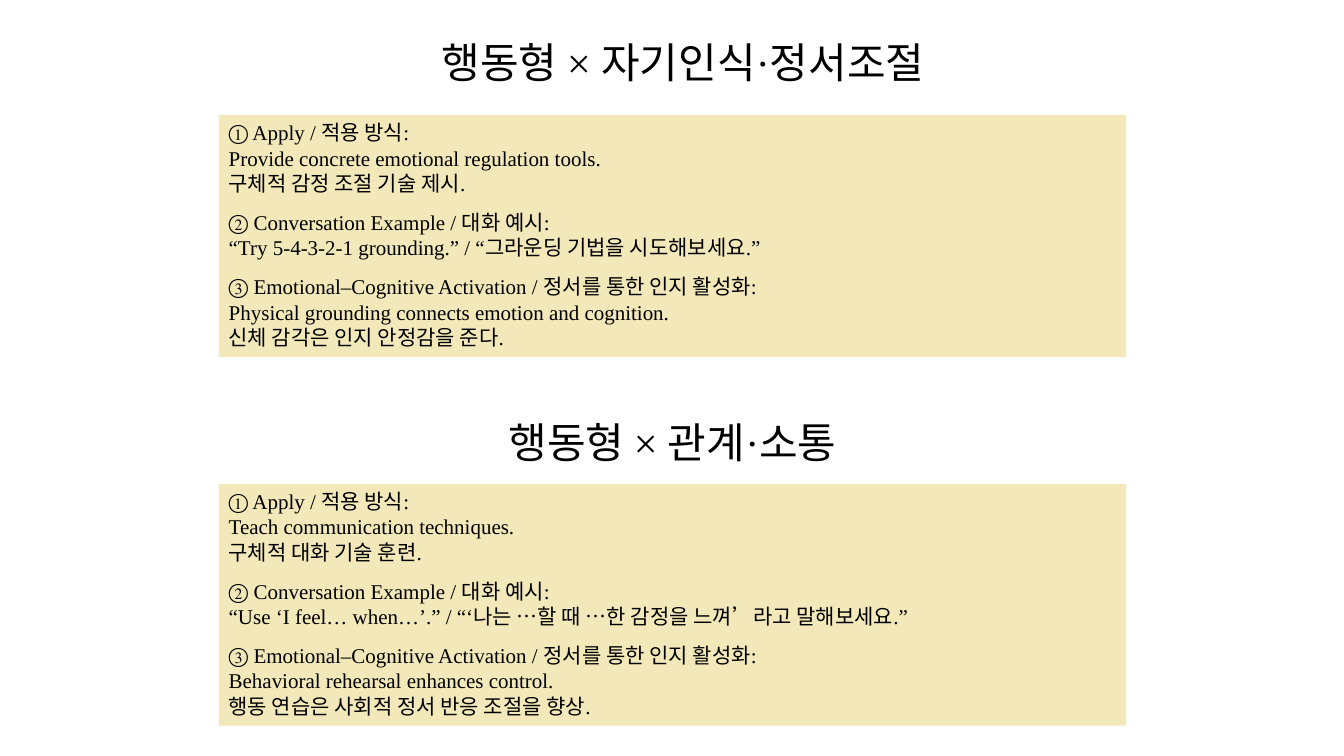
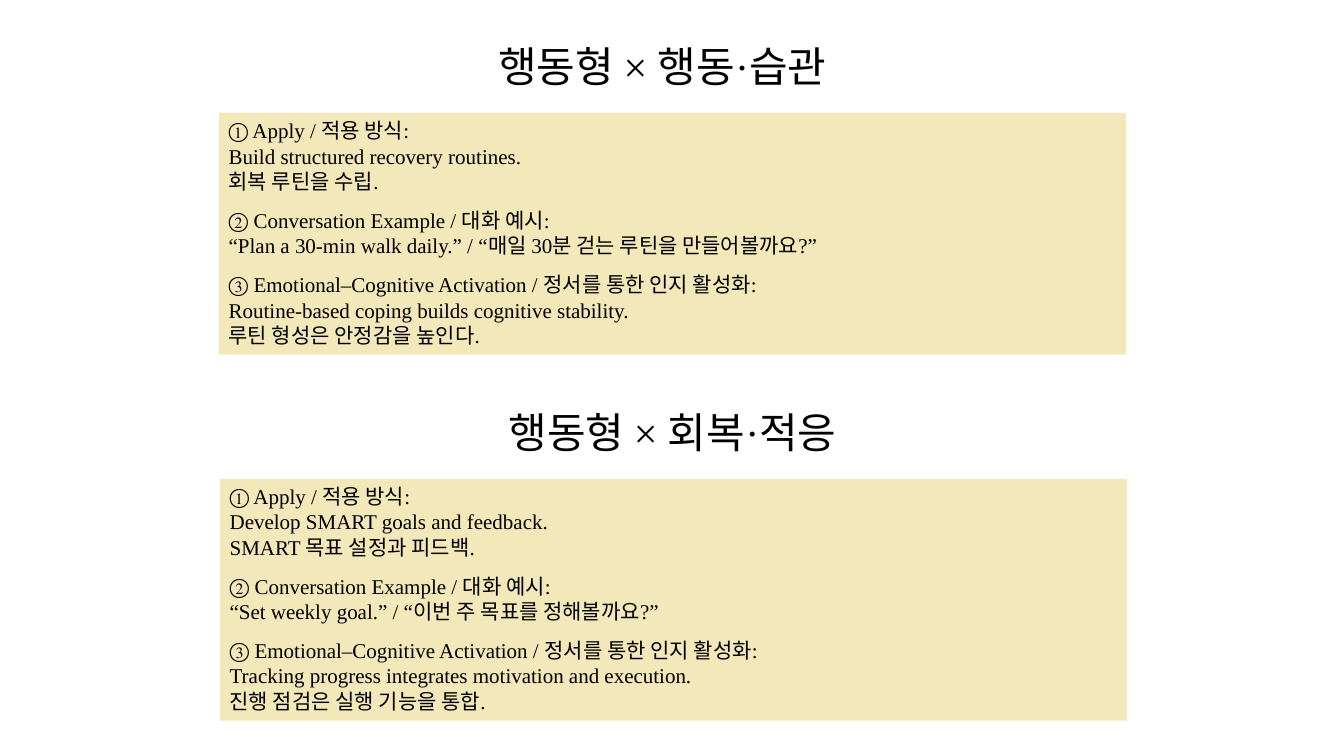
from dataclasses import dataclass

from pptx import Presentation
from pptx.dml.color import RGBColor
from pptx.enum.shapes import MSO_SHAPE
from pptx.enum.text import MSO_ANCHOR, MSO_AUTO_SIZE, PP_ALIGN
from pptx.util import Emu, Pt


@dataclass(frozen=True)
class Theme:
    font: str = "Times New Roman"
    ink: RGBColor = RGBColor(0x00, 0x00, 0x00)
    panel: RGBColor = RGBColor(0xF2, 0xE8, 0xB9)
    title_size: int = 30
    body_size: int = 15
    gap: int = 10


THEME = Theme()
PX = 9144
TITLE_H = 61
PANEL_W, PANEL_H = 900, 240
HEADINGS = (
    "① Apply / 적용 방식:",
    "② Conversation Example / 대화 예시:",
    "③ Emotional–Cognitive Activation / 정서를 통한 인지 활성화:",
)

SLIDES = (
    (
        ("행동형 × 자기인식·정서조절", (385, 31, 585), (217, 114), (
            "Provide concrete emotional regulation tools.\n구체적 감정 조절 기술 제시.",
            "“Try 5-4-3-2-1 grounding.” / “그라운딩 기법을 시도해보세요.”",
            "Physical grounding connects emotion and cognition.\n"
            "신체 감각은 인지 안정감을 준다.",
        )),
        ("행동형 × 관계·소통", (417, 408, 500), (217, 480), (
            "Teach communication techniques.\n구체적 대화 기술 훈련.",
            "“Use ‘I feel… when…’.” / “‘나는 …할 때 …한 감정을 느껴’라고 말해보세요.”",
            "Behavioral rehearsal enhances control.\n"
            "행동 연습은 사회적 정서 반응 조절을 향상.",
        )),
    ),
    (
        ("행동형 × 행동·습관", (407, 35, 500), (217, 112), (
            "Build structured recovery routines.\n회복 루틴을 수립.",
            "“Plan a 30-min walk daily.” / “매일 30분 걷는 루틴을 만들어볼까요?”",
            "Routine-based coping builds cognitive stability.\n"
            "루틴 형성은 안정감을 높인다.",
        )),
        ("행동형 × 회복·적응", (417, 398, 500), (218, 475), (
            "Develop SMART goals and feedback.\nSMART 목표 설정과 피드백.",
            "“Set weekly goal.” / “이번 주 목표를 정해볼까요?”",
            "Tracking progress integrates motivation and execution.\n"
            "진행 점검은 실행 기능을 통합.",
        )),
    ),
)


def px(*lengths):
    return [Emu(n * PX) for n in lengths]


def fill_text(sp, texts, size, align):
    tf = sp.text_frame
    tf.word_wrap = True
    tf.auto_size = MSO_AUTO_SIZE.SHAPE_TO_FIT_TEXT
    tf.vertical_anchor = MSO_ANCHOR.TOP
    for i, text in enumerate(texts):
        p = tf.paragraphs[0] if i == 0 else tf.add_paragraph()
        p.text = text
        p.alignment = align
        if i < len(texts) - 1:
            p.space_after = Pt(THEME.gap)
        p.font.name = THEME.font
        p.font.size = Pt(size)
        p.font.color.rgb = THEME.ink


def add_title(s, text, x, y, w):
    sp = s.shapes.add_textbox(*px(x, y, w, TITLE_H))
    fill_text(sp, [text], THEME.title_size, PP_ALIGN.CENTER)


def add_panel(s, bodies, x, y):
    sp = s.shapes.add_shape(MSO_SHAPE.RECTANGLE, *px(x, y, PANEL_W, PANEL_H))
    sp.shadow.inherit = False
    sp.fill.solid()
    sp.fill.fore_color.rgb = THEME.panel
    sp.line.fill.background()
    texts = [f"{heading}\n{body}" for heading, body in zip(HEADINGS, bodies)]
    fill_text(sp, texts, THEME.body_size, PP_ALIGN.LEFT)


def add_strategy_slide(prs, sections):
    s = prs.slides.add_slide(prs.slide_layouts[6])
    for title, title_box, panel_at, bodies in sections:
        add_title(s, title, *title_box)
        add_panel(s, bodies, *panel_at)


def main():
    prs = Presentation()
    prs.slide_width, prs.slide_height = px(1333, 750)
    for sections in SLIDES:
        add_strategy_slide(prs, sections)
    prs.save("out.pptx")


if __name__ == "__main__":
    main()
